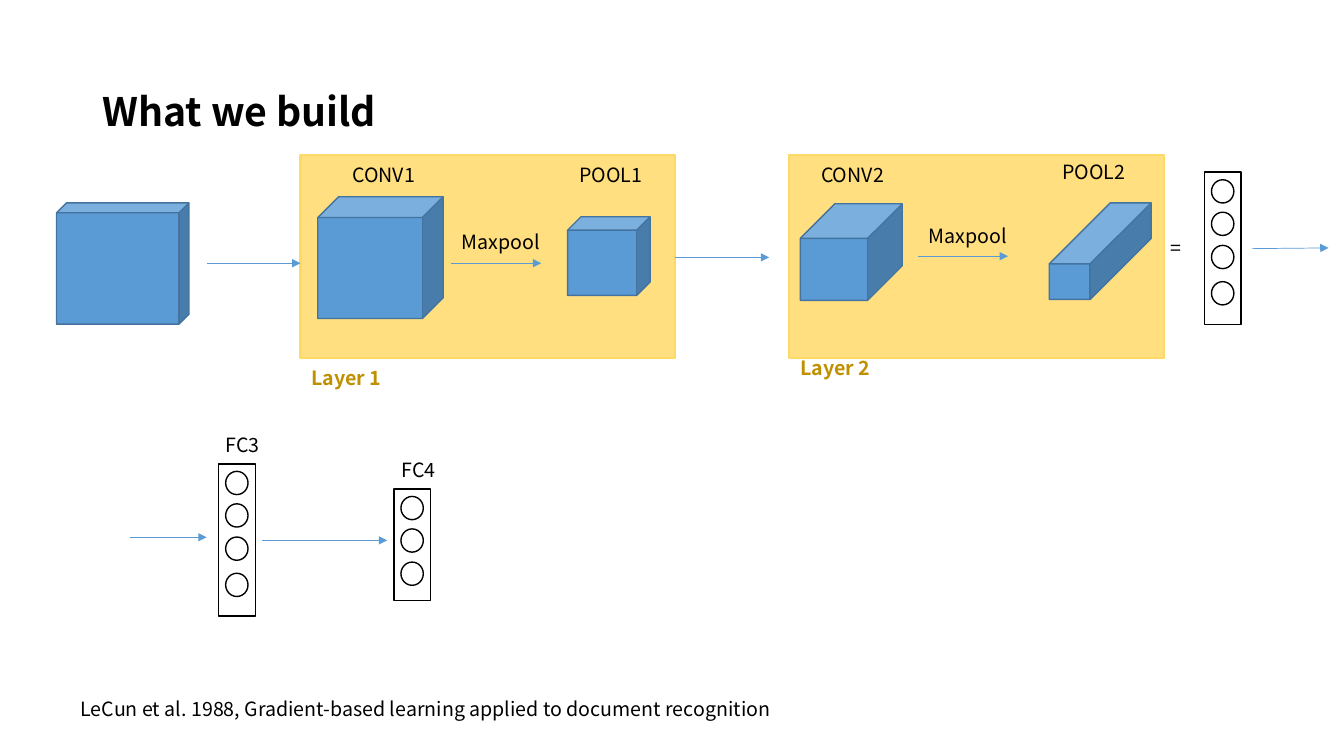
from lxml import etree
from pptx import Presentation
from pptx.dml.color import RGBColor
from pptx.enum.shapes import MSO_CONNECTOR, MSO_SHAPE
from pptx.enum.text import MSO_ANCHOR
from pptx.oxml.ns import qn
from pptx.util import Pt

FONT = "Noto Sans CJK KR"
COLORS = {
    "black": "000000", "white": "FFFFFF", "blue": "5B9BD5", "edge": "43739E",
    "panel": "FFC000", "panel_line": "FFD966", "gold": "BF9000",
}
NEURON_OFFSETS = (5.4, 28.6, 52.3, 78.2)


def rgb(name):
    """Return the named colour."""
    return RGBColor.from_string(COLORS[name])


def add_box(s, kind, x, y, w, h, fill, line, weight=1):
    """Add a preset shape, unfilled when fill is None."""
    sp = s.shapes.add_shape(kind, Pt(x), Pt(y), Pt(w), Pt(h))
    sp.shadow.inherit = False
    if fill:
        sp.fill.solid()
        sp.fill.fore_color.rgb = rgb(fill)
    else:
        sp.fill.background()
    sp.line.color.rgb = rgb(line)
    sp.line.width = Pt(weight)
    return sp


def add_panel(s, x):
    """Add the half-transparent background of a layer."""
    sp = add_box(s, MSO_SHAPE.RECTANGLE, x, 111, 267.8, 144.7,
                 "panel", "panel_line", 1.5)
    color = sp.fill._xPr.find(qn("a:solidFill"))[0]
    etree.SubElement(color, qn("a:alpha"), val="50000")


def add_cube(s, x, y, w, h, depth):
    """Add a feature map as a cube."""
    sp = add_box(s, MSO_SHAPE.CUBE, x, y, w, h, "blue", "edge")
    sp.adjustments[0] = depth


def add_neurons(s, x, y, h, count):
    """Add a fully connected layer as a column of circles."""
    add_box(s, MSO_SHAPE.RECTANGLE, x, y, 26.2, h, None, "black")
    for dy in NEURON_OFFSETS[:count]:
        add_box(s, MSO_SHAPE.OVAL, x + 5, y + dy, 16, 16.6, "white", "black")


def add_arrow(s, x1, y1, x2, y2):
    """Add a thin arrow."""
    c = s.shapes.add_connector(MSO_CONNECTOR.STRAIGHT,
                               Pt(x1), Pt(y1), Pt(x2), Pt(y2))
    c.line.color.rgb = rgb("blue")
    c.line.width = Pt(0.5)
    etree.SubElement(c.line._get_or_add_ln(), qn("a:tailEnd"), type="triangle")
    etree.SubElement(c._element.spPr, qn("a:effectLst"))


def add_text(s, text, x, y, w=71.3, h=24.5, size=14, color="black", bold=False):
    """Add one line of text, centred vertically."""
    tf = s.shapes.add_textbox(Pt(x), Pt(y), Pt(w), Pt(h)).text_frame
    tf.word_wrap = True
    tf.vertical_anchor = MSO_ANCHOR.MIDDLE
    p = tf.paragraphs[0]
    r = p.add_run()
    r.text = text
    r.font.name = FONT
    r.font.size = Pt(size)
    r.font.bold = bold
    r.font.color.rgb = rgb(color)
    props = r._r.get_or_add_rPr()
    etree.SubElement(props, qn("a:ea"), typeface=FONT)
    return p


def main():
    """Build the network slide."""
    prs = Presentation()
    prs.slide_width, prs.slide_height = Pt(960), Pt(540)
    s = prs.slides.add_slide(prs.slide_layouts[6])

    for x in (563.8, 214.6):
        add_panel(s, x)
    title = add_text(s, "What we build", 66.2, 28.8, 828, 104.4, 28, bold=True)
    title.line_spacing = 0.9

    for cube in (
        (40.4, 144.9, 94.6, 86.6, 0.082),
        (227, 140.5, 89.6, 87, 0.171),
        (405.4, 154.8, 59, 56.2, 0.171),
        (571.7, 145.6, 72.8, 69, 0.358),
        (749.5, 144.9, 72.8, 69, 0.632),
    ):
        add_cube(s, *cube)

    for arrow in (
        (147.6, 188, 214.6, 188),
        (321.8, 188, 386.6, 188),
        (482.4, 183.8, 549.4, 183.8),
        (655.9, 183, 720, 183),
        (894.2, 177.6, 949, 177.1),
        (92.9, 383.8, 147.6, 383.8),
        (187.2, 386, 276.5, 386),
    ):
        add_arrow(s, *arrow)

    for column in (
        (860.4, 123, 108.7, 4),
        (156.2, 331.3, 108.7, 4),
        (281.4, 349.2, 79.9, 3),
    ):
        add_neurons(s, *column)

    for label in (
        ("CONV1", 244.6, 112.4),
        ("POOL1", 406.8, 112.4),
        ("Maxpool", 322.6, 160.6),
        ("CONV2", 579.4, 112.4),
        ("Maxpool", 656, 156.2),
        ("POOL2", 751.8, 110.6),
        ("=", 828.7, 164.9, 33.8),
        ("FC3", 154.1, 305.3, 43.2),
        ("FC4", 279.9, 323.3, 43.2),
        ("LeCun et al. 1988, Gradient-based learning applied to document "
         "recognition", 50.4, 494, 784),
    ):
        add_text(s, *label)
    for name, x, y in (("Layer 1", 215.3, 257.2), ("Layer 2", 564.6, 250.6)):
        add_text(s, name, x, y, color="gold", bold=True)

    prs.save("out.pptx")


if __name__ == "__main__":
    main()
